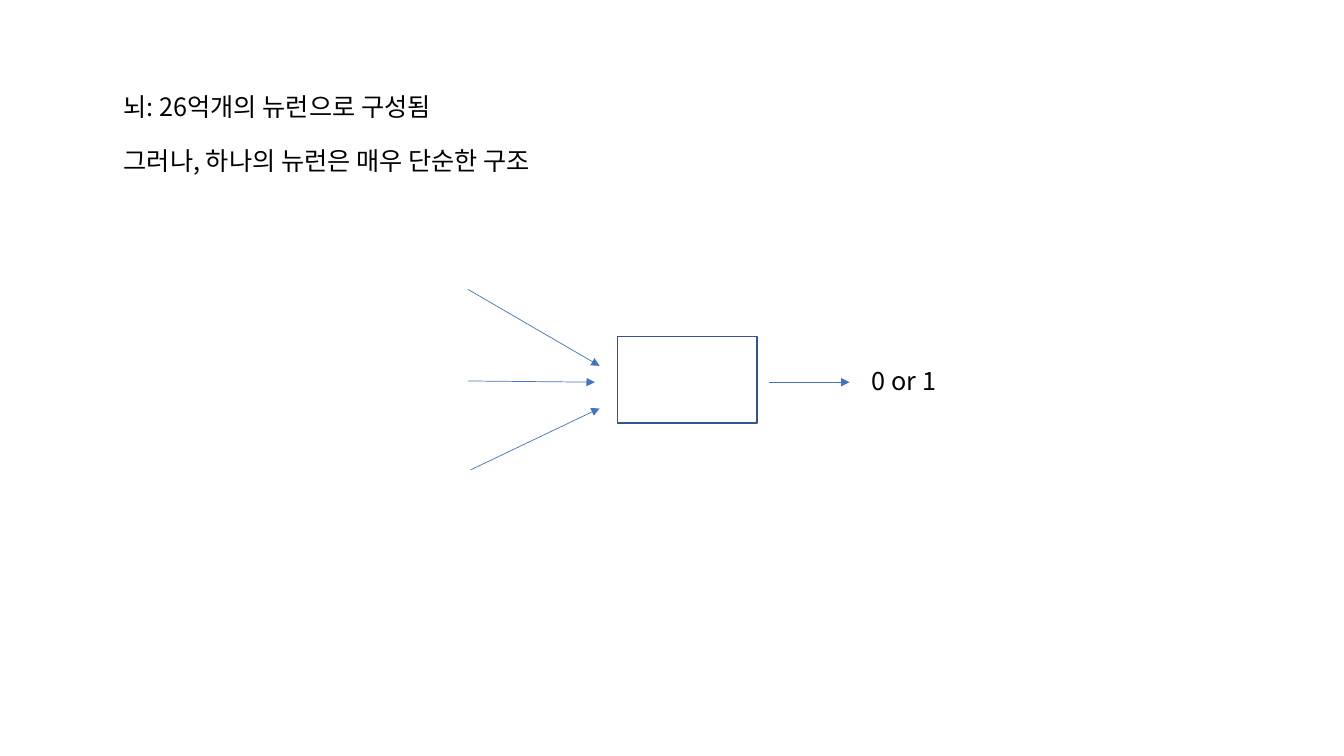
from dataclasses import dataclass

from lxml.etree import SubElement
from pptx import Presentation
from pptx.dml.color import RGBColor
from pptx.enum.shapes import MSO_CONNECTOR, MSO_SHAPE
from pptx.enum.text import MSO_AUTO_SIZE
from pptx.oxml.ns import qn
from pptx.util import Cm, Pt


@dataclass(frozen=True)
class Theme:
    font: str = "Noto Sans CJK KR"
    text: RGBColor = RGBColor(0x00, 0x00, 0x00)
    arrow: RGBColor = RGBColor(0x44, 0x72, 0xC4)
    outline: RGBColor = RGBColor(0x32, 0x54, 0x91)
    text_size: Pt = Pt(18)
    paragraph_gap: Pt = Pt(17)
    arrow_width: Pt = Pt(0.5)
    outline_width: Pt = Pt(1)


THEME = Theme()


def add_text(page, left, top, width, height, lines):
    box = page.shapes.add_textbox(Cm(left), Cm(top), Cm(width), Cm(height))
    frame = box.text_frame
    frame.word_wrap = False
    frame.auto_size = MSO_AUTO_SIZE.SHAPE_TO_FIT_TEXT
    frame.text = "\n".join(lines)
    for index, para in enumerate(frame.paragraphs):
        if index:
            para.space_before = THEME.paragraph_gap
        for span in para.runs:
            style_span(span)


def style_span(span):
    """Apply the theme to Latin and Korean letters alike."""
    span.font.size = THEME.text_size
    span.font.color.rgb = THEME.text
    span.font.name = THEME.font
    SubElement(span.font._element, qn("a:ea"), typeface=THEME.font)


def add_arrow(page, start, end):
    arrow = page.shapes.add_connector(
        MSO_CONNECTOR.STRAIGHT, *(Cm(value) for value in (*start, *end))
    )
    arrow.line.color.rgb = THEME.arrow
    arrow.line.width = THEME.arrow_width
    SubElement(arrow.line._get_or_add_ln(), qn("a:tailEnd"), type="triangle")
    SubElement(arrow._element.spPr, qn("a:effectLst"))


def add_neuron(page, left, top, width, height):
    neuron = page.shapes.add_shape(
        MSO_SHAPE.RECTANGLE, Cm(left), Cm(top), Cm(width), Cm(height)
    )
    neuron.shadow.inherit = False
    neuron.fill.background()
    neuron.line.color.rgb = THEME.outline
    neuron.line.width = THEME.outline_width


def main():
    deck = Presentation()
    deck.slide_width, deck.slide_height = Cm(33.87), Cm(19.05)
    page = deck.slides.add_slide(deck.slide_layouts[6])

    inputs = [
        ((11.79, 7.29), (15.11, 9.22)),
        ((11.79, 9.6), (14.99, 9.63)),
        ((11.86, 11.84), (15.11, 10.29)),
    ]
    for start, end in inputs:
        add_arrow(page, start, end)
    add_neuron(page, 15.57, 8.48, 3.51, 2.18)
    add_arrow(page, (19.38, 9.63), (21.41, 9.63))
    add_text(page, 21.72, 9.07, 2.29, 1.02, ["0 or 1"])
    add_text(
        page, 2.87, 2.18, 12.04, 2.57,
        ["뇌: 26억개의 뉴런으로 구성됨", "그러나, 하나의 뉴런은 매우 단순한 구조"],
    )
    deck.save("out.pptx")


if __name__ == "__main__":
    main()
